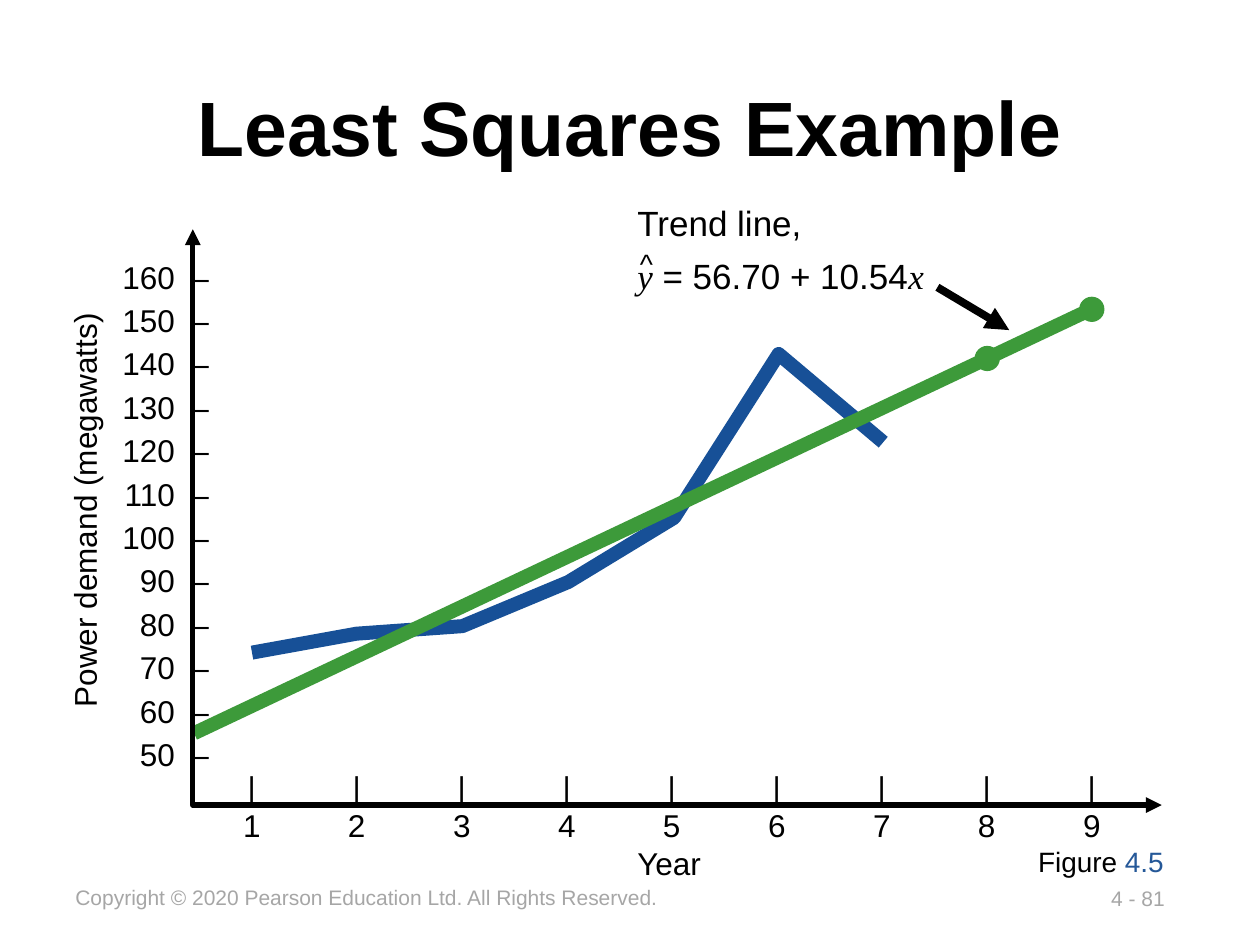
import pptx
import pptx.util
from pptx.dml.color import RGBColor
from pptx.enum.shapes import MSO_CONNECTOR, MSO_SHAPE
from pptx.enum.text import MSO_ANCHOR, PP_ALIGN
from pptx.oxml.ns import qn
from pptx.util import Inches, Pt
from lxml import etree

BLACK = RGBColor(0x00, 0x00, 0x00)
GREY = RGBColor(0xA6, 0xA6, 0xA6)
BLUE = RGBColor(0x17, 0x50, 0x97)
LINK_BLUE = RGBColor(0x25, 0x58, 0x98)
GREEN = RGBColor(0x3D, 0x9A, 0x3A)

DEMAND = [(2, 5.18), (2.83, 5.03), (3.67, 4.97), (4.51, 4.62),
          (5.35, 4.11), (6.18, 2.81), (7.01, 3.51)]
AXES = [(1.53, 1.82), (1.53, 6.39), (9.22, 6.39)]
FORECASTS = [(7.74, 2.75), (8.57, 2.36)]
YEARS = range(1, 10)
LEVELS = range(160, 40, -10)


class SlideWriter:
    font = "Arial"

    def __init__(self, slide):
        self.s = slide

    def text(self, left, top, width, height, paragraphs, size, color=BLACK,
             bold=False, align=PP_ALIGN.LEFT, anchor=MSO_ANCHOR.TOP,
             tabs=(), spacing=None, after=0, rotation=0):
        """Add a text box; a paragraph is a list of (text, run overrides)."""
        sp = self.s.shapes.add_textbox(
            Inches(left), Inches(top), Inches(width), Inches(height))
        sp.rotation = rotation
        tf = sp.text_frame
        tf.word_wrap = True
        tf.vertical_anchor = anchor
        for i, runs in enumerate(paragraphs):
            p = tf.paragraphs[0] if i == 0 else tf.add_paragraph()
            p.alignment = align
            if spacing:
                p.line_spacing = Pt(spacing)
            p.space_after = Pt(after)
            self.add_tabs(p, tabs)
            for words, style in runs:
                r = p.add_run()
                r.text = words
                r.font.name = style.get("font", self.font)
                r.font.size = Pt(size)
                r.font.bold = bold
                r.font.italic = style.get("italic", False)
                r.font.color.rgb = style.get("color", color)

    def add_tabs(self, p, tabs):
        if not tabs:
            return
        tab_list = etree.SubElement(p._p.get_or_add_pPr(), qn("a:tabLst"))
        for position, side in tabs:
            etree.SubElement(tab_list, qn("a:tab"),
                             pos=str(Inches(position)), algn=side)

    def stroke(self, sp, color, width, arrows=()):
        """Set the line; arrows names the ends that carry a triangle."""
        sp.line.color.rgb = color
        sp.line.width = Pt(width)
        for end in arrows:
            etree.SubElement(sp.line._get_or_add_ln(), qn("a:" + end),
                             type="triangle")

    def polyline(self, points, color, width, arrows=()):
        start, *rest = [(Inches(x), Inches(y)) for x, y in points]
        builder = self.s.shapes.build_freeform(*start)
        builder.add_line_segments(rest, close=False)
        sp = builder.convert_to_shape()
        sp.shadow.inherit = False
        sp.fill.background()
        self.stroke(sp, color, width, arrows)

    def line(self, x1, y1, x2, y2, color, width, arrows=()):
        sp = self.s.shapes.add_connector(
            MSO_CONNECTOR.STRAIGHT,
            Inches(x1), Inches(y1), Inches(x2), Inches(y2))
        self.stroke(sp, color, width, arrows)
        etree.SubElement(sp._element.spPr, qn("a:effectLst"))

    def dot(self, left, top, size, color):
        sp = self.s.shapes.add_shape(
            MSO_SHAPE.OVAL, Inches(left), Inches(top),
            Inches(size), Inches(size))
        sp.shadow.inherit = False
        sp.fill.solid()
        sp.fill.fore_color.rgb = color
        self.stroke(sp, color, 0.75)


def main():
    prs = pptx.Presentation()
    prs.slide_width = Inches(10)
    prs.slide_height = Inches(7.5)
    w = SlideWriter(prs.slides.add_slide(prs.slide_layouts[6]))

    w.text(8.72, 6.98, 0.75, 0.3, [[("4 - 81", {})]], 12, GREY)
    w.text(0.5, 6.97, 4.96, 0.3,
           [[("Copyright © 2020 Pearson Education Ltd. "
              "All Rights Reserved.", {})]], 12, GREY)
    w.text(0.75, 0.49, 8.5, 1.01, [[("Least Squares Example", {})]], 44,
           bold=True, align=PP_ALIGN.CENTER, anchor=MSO_ANCHOR.MIDDLE)

    w.polyline(DEMAND, BLUE, 8)
    w.line(8.67, 2.45, 1.54, 5.82, GREEN, 8)
    for left, top in FORECASTS:
        w.dot(left, top, 0.19, GREEN)

    w.polyline(AXES, BLACK, 3, ["headEnd", "tailEnd"])
    year_tabs = [(0.32 + i * 2.5 / 3, "ctr") for i in range(len(YEARS))]
    year_rows = ["\t|" * len(YEARS), "".join(f"\t{year}" for year in YEARS)]
    w.text(1.58, 6.05, 7.47, 0.7, [[(row, {})] for row in year_rows], 18,
           tabs=year_tabs, spacing=21.6)
    w.text(0.77, 1.95, 1, 4.25,
           [[(f"\t{level}\t–", {})] for level in LEVELS], 18,
           tabs=[(0.52, "r"), (0.79, "r")], spacing=24.8)
    w.text(4.96, 6.65, 0.81, 0.4, [[("Year", {})]], 18)
    w.text(-1.06, 3.85, 3.46, 0.4, [[("Power demand (megawatts)", {})]], 18,
           align=PP_ALIGN.CENTER, rotation=270)

    variable = {"font": "Times New Roman", "italic": True}
    w.text(4.96, 1.55, 2.7, 0.86,
           [[("Trend line,", {})],
            [("y", variable), (" = 56.70 + 10.54", {}), ("x", variable)]],
           20, after=6)
    w.text(4.98, 1.91, 0.41, 0.37, [[("^", {})]], 16)
    w.line(7.44, 2.28, 8.01, 2.62, BLACK, 4.5, ["tailEnd"])
    w.text(8.14, 6.65, 1.31, 0.37,
           [[("Figure ", {}), ("4.5", {"color": LINK_BLUE})]], 16)

    prs.save("out.pptx")


if __name__ == "__main__":
    main()
